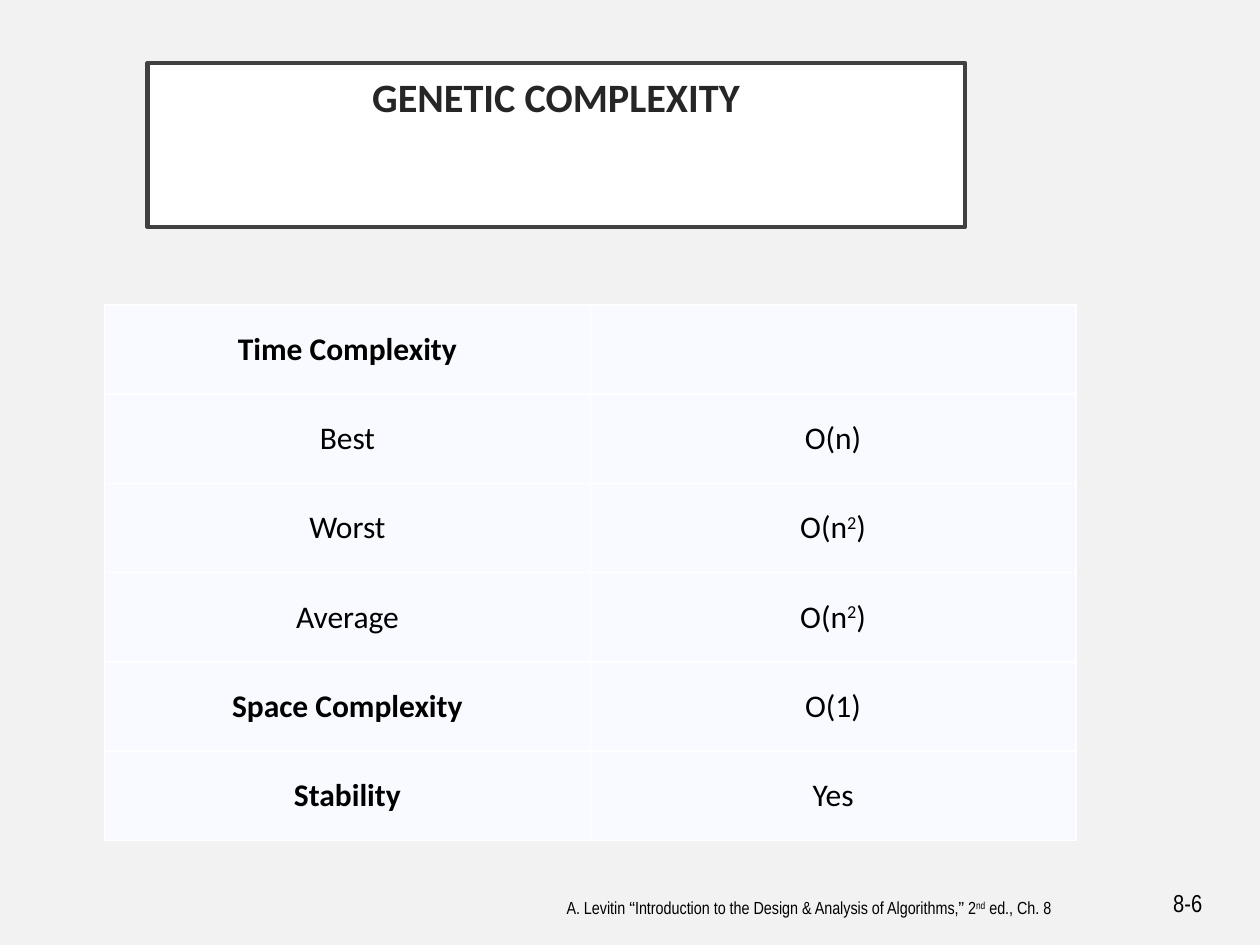
from dataclasses import dataclass

from pptx import Presentation
from pptx.dml.color import RGBColor
from pptx.enum.shapes import MSO_SHAPE
from pptx.enum.text import MSO_ANCHOR, PP_ALIGN
from pptx.util import Inches, Pt

RECT = MSO_SHAPE.RECTANGLE
TOP, MIDDLE = MSO_ANCHOR.TOP, MSO_ANCHOR.MIDDLE
CENTER, RIGHT = PP_ALIGN.CENTER, PP_ALIGN.RIGHT


@dataclass(frozen=True)
class Theme:
    """Colours, fonts and type sizes of the slide."""
    background: str = "F2F2F2"
    panel: str = "FFFFFF"
    border: str = "404040"
    heading: str = "262626"
    cell: str = "F8FAFF"
    ink: str = "000000"
    body_font: str = "Calibri"
    footer_font: str = "Arial Narrow"
    quote_font: str = "Arial"
    title_size: int = 23
    table_size: int = 18
    number_size: int = 14
    footer_size: int = 10


THEME = Theme()
ROWS = [
    ("Time Complexity", "", True),
    ("Best", "O(n)", False),
    ("Worst", "O(n^2^)", False),
    ("Average", "O(n^2^)", False),
    ("Space Complexity", "O(1)", True),
    ("Stability", "Yes", True),
]
CITATION = "A. Levitin “Introduction to the Design & Analysis of Algorithms,” 2^nd^ ed., Ch. 8"


def set_fill(fill, color):
    """Give a fill one solid colour."""
    fill.solid()
    fill.fore_color.rgb = RGBColor.from_string(color)


def add_run(p, text, color, raised=False, **fmt):
    """Add a run with its font values, raised if superscript."""
    r = p.add_run()
    r.text = text
    for name, value in fmt.items():
        setattr(r.font, name, value)
    r.font.color.rgb = RGBColor.from_string(color)
    if raised:
        r.font._element.set("baseline", "30000")


def add_marked(p, text, color, **fmt):
    """Add text in which carets enclose superscripts."""
    for i, part in enumerate(text.split("^")):
        if part:
            add_run(p, part, color, i % 2 == 1, **fmt)


def add_title(s, box, text):
    """Place the framed heading in its box."""
    sp = s.shapes.add_shape(RECT, *map(Inches, box))
    sp.shadow.inherit = False
    set_fill(sp.fill, THEME.panel)
    set_fill(sp.line.fill, THEME.border)
    sp.line.width = Pt(2.5)
    tf = sp.text_frame
    frame = {"word_wrap": True, "vertical_anchor": TOP, "margin_top": Inches(0.12),
             "margin_left": Inches(0.2), "margin_right": Inches(0.2)}
    for name, value in frame.items():
        setattr(tf, name, value)
    p = tf.paragraphs[0]
    p.alignment, p.line_spacing = CENTER, 0.9
    add_run(p, text, THEME.heading, name=THEME.body_font,
            size=Pt(THEME.title_size), bold=True)


def add_complexity_table(s, box, rows):
    """Fill the box with an even two-column table."""
    table = s.shapes.add_table(len(rows), 2, *map(Inches, box)).table
    table.first_row = table.horz_banding = False
    for row in table.rows:
        row.height = Inches(box[3] / len(rows))
    for i, (label, value, bold) in enumerate(rows):
        for j, (text, strong) in enumerate([(label, bold), (value, False)]):
            cell = table.cell(i, j)
            set_fill(cell.fill, THEME.cell)
            cell.vertical_anchor = MIDDLE
            cell.margin_left = cell.margin_right = Inches(0.2)
            p = cell.text_frame.paragraphs[0]
            p.alignment = CENTER
            add_marked(p, text, THEME.ink, name=THEME.body_font,
                       size=Pt(THEME.table_size), bold=strong)


def add_text_box(s, box, align):
    """Add a wrapping text box and return its paragraph."""
    tf = s.shapes.add_textbox(*map(Inches, box)).text_frame
    tf.word_wrap = True
    p = tf.paragraphs[0]
    p.alignment = align
    return p


def add_page_number(s, box, text):
    """Place the page number at the right of its box."""
    p = add_text_box(s, box, RIGHT)
    add_run(p, text, THEME.ink, name=THEME.footer_font, size=Pt(THEME.number_size))


def add_citation(s, box, text):
    """Place the book citation, with its quote marks in their own font."""
    p = add_text_box(s, box, CENTER)
    size = Pt(THEME.footer_size)
    before, rest = text.split("“")
    name, after = rest.split("”")
    for part, font in [(before, THEME.footer_font), ("“", THEME.quote_font),
                       (name, THEME.footer_font), ("”", THEME.quote_font),
                       (after, THEME.footer_font)]:
        add_marked(p, part, THEME.ink, name=font, size=size)


def main():
    """Build and save the slide."""
    prs = Presentation()
    prs.slide_width, prs.slide_height = Inches(10), Inches(7.5)
    s = prs.slides.add_slide(prs.slide_layouts[6])
    set_fill(s.background.fill, THEME.background)
    add_page_number(s, (7.56, 7, 2.08, 0.33), "8-6")
    add_citation(s, (2.92, 7.07, 7, 0.33), CITATION)
    add_title(s, (1.17, 0.5, 6.49, 1.3), "GENETIC COMPLEXITY")
    add_complexity_table(s, (0.83, 2.42, 7.71, 4.25), ROWS)
    prs.save("out.pptx")


if __name__ == "__main__":
    main()
